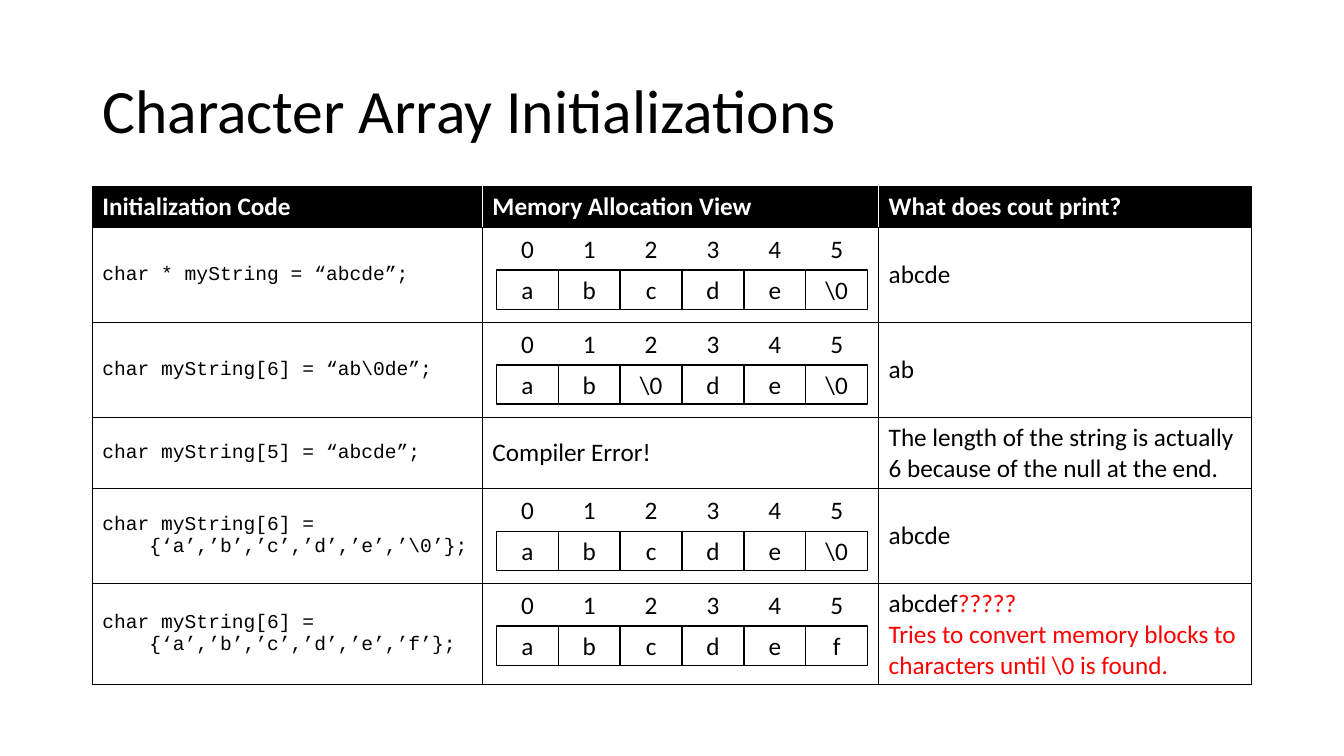
from dataclasses import dataclass
from itertools import accumulate

from lxml.etree import SubElement
from pptx import Presentation
from pptx.dml.color import RGBColor
from pptx.enum.shapes import MSO_SHAPE as Shape
from pptx.enum.text import MSO_ANCHOR as Anchor, MSO_AUTO_SIZE as AutoSize, PP_ALIGN as Align
from pptx.oxml import parse_xml
from pptx.oxml.ns import nsdecls, qn
from pptx.util import Inches, Pt


@dataclass(frozen=True)
class Theme:
    ink: RGBColor = RGBColor(0, 0, 0)
    paper: RGBColor = RGBColor(255, 255, 255)
    warning: RGBColor = RGBColor(255, 0, 0)
    body_font: str = "Calibri"
    code_font: str = "Courier New"
    title_size: int = 44
    body_size: int = 18
    code_size: int = 14
    line_width: float = 1
    header_line_width: float = 0.5


THEME = Theme()

TITLE = "Character Array Initializations"
HEADERS = ["Initialization Code", "Memory Allocation View", "What does cout print?"]
ROWS = [
    {"code": ["char * myString = “abcde”;"],
     "memory": ["a", "b", "c", "d", "e", "\\0"],
     "prints": [[("abcde", THEME.ink)]]},
    {"code": ["char myString[6] = “ab\\0de”;"],
     "memory": ["a", "b", "\\0", "d", "e", "\\0"],
     "prints": [[("ab", THEME.ink)]]},
    {"code": ["char myString[5] = “abcde”;"],
     "message": "Compiler Error!",
     "prints": [[("The length of the string is actually 6 because of the null at the end.",
                  THEME.ink)]]},
    {"code": ["char myString[6] =", "    {‘a’,’b’,’c’,’d’,’e’,’\\0’};"],
     "memory": ["a", "b", "c", "d", "e", "\\0"],
     "prints": [[("abcde", THEME.ink)]]},
    {"code": ["char myString[6] =", "    {‘a’,’b’,’c’,’d’,’e’,’f’};"],
     "memory": ["a", "b", "c", "d", "e", "f"],
     "prints": [[("abcdef", THEME.ink), ("?????", THEME.warning)],
                [("Tries to convert memory blocks to characters until \\0 is found.",
                  THEME.warning)]]},
]

SLIDE_WIDTH, SLIDE_HEIGHT = 13.33, 7.5
COLUMN_WIDTHS = [3.87, 3.93, 3.7]
TABLE_WIDTH = sum(COLUMN_WIDTHS)
LEFT = (SLIDE_WIDTH - TABLE_WIDTH) / 2
TITLE_TOP, TITLE_HEIGHT = 0.4, 1.45
HEADER_TOP = TITLE_TOP + TITLE_HEIGHT
HEADER_HEIGHT = 0.41
ROW_HEIGHTS = [0.94, 0.94, 0.71, 0.94, 1.0]
ROW_TOPS = list(accumulate(ROW_HEIGHTS, initial=HEADER_TOP + HEADER_HEIGHT))
STRIP_LEFT = LEFT + COLUMN_WIDTHS[0] + 0.14
STRIP_WIDTH = 3.68
INDEX_OFFSET, INDEX_HEIGHT = 0.01, 0.4
BLOCK_OFFSET, BLOCK_HEIGHT = 0.42, 0.39


def place(left, top, width, height):
    return [Inches(value) for value in (left, top, width, height)]


def style_font(font, size=THEME.body_size, name=THEME.body_font, color=THEME.ink, bold=False):
    font.size, font.name, font.bold = Pt(size), name, bold
    font.color.rgb = color


def write_lines(frame, lines, **style):
    frame.text = "\n".join(lines)
    for paragraph in frame.paragraphs:
        style_font(paragraph.font, **style)


def write_colored(frame, lines):
    for number, runs in enumerate(lines):
        paragraph = frame.add_paragraph() if number else frame.paragraphs[0]
        for text, color in runs:
            run = paragraph.add_run()
            run.text = text
            style_font(run.font, color=color)


def draw_borders(cell, sides, width):
    properties = cell._tc.get_or_add_tcPr()
    for side in sides:
        border = parse_xml(f'<a:ln{side} {nsdecls("a")} w="{Pt(width)}"/>')
        fill = SubElement(border, qn("a:solidFill"))
        SubElement(fill, qn("a:srgbClr")).set("val", str(THEME.ink))
        properties.append(border)


def add_row_table(slide, top, height):
    table = slide.shapes.add_table(
        1, len(COLUMN_WIDTHS), *place(LEFT, top, TABLE_WIDTH, height)).table
    table.horz_banding = False
    for column, width in zip(table.columns, COLUMN_WIDTHS):
        column.width = Inches(width)
    return table


def add_title(slide):
    title = slide.shapes.title
    title.left, title.top, title.width, title.height = place(
        LEFT, TITLE_TOP, TABLE_WIDTH, TITLE_HEIGHT)
    write_lines(title.text_frame, [TITLE], size=THEME.title_size)
    title.text_frame.vertical_anchor = Anchor.MIDDLE
    paragraph = title.text_frame.paragraphs[0]
    paragraph.alignment, paragraph.line_spacing = Align.LEFT, 0.9


def add_header(slide):
    table = add_row_table(slide, HEADER_TOP, HEADER_HEIGHT)
    for cell, header, sides in zip(table.rows[0].cells, HEADERS, ("LTB", "TB", "RTB")):
        draw_borders(cell, sides, THEME.header_line_width)
        cell.fill.solid()
        cell.fill.fore_color.rgb = THEME.ink
        write_lines(cell.text_frame, [header], color=THEME.paper, bold=True)


def add_example(slide, row, top, height):
    table = add_row_table(slide, top, height)
    table.first_row = False
    code, memory, prints = table.rows[0].cells
    for cell in (code, memory, prints):
        cell.vertical_anchor = Anchor.MIDDLE
        draw_borders(cell, "LRTB", THEME.line_width)
        cell.fill.background()
    write_lines(code.text_frame, row["code"], size=THEME.code_size, name=THEME.code_font)
    write_colored(prints.text_frame, row["prints"])
    if "memory" in row:
        add_memory_strip(slide, row["memory"], top)
    else:
        write_lines(memory.text_frame, [row["message"]])


def add_memory_strip(slide, characters, row_top):
    strip = slide.shapes.add_group_shape()
    width = STRIP_WIDTH / len(characters)
    for index, character in enumerate(characters):
        left = STRIP_LEFT + index * width
        block = strip.shapes.add_shape(
            Shape.RECTANGLE, *place(left, row_top + BLOCK_OFFSET, width, BLOCK_HEIGHT))
        block.shadow.inherit = False
        block.fill.solid()
        block.fill.fore_color.rgb = THEME.paper
        block.line.color.rgb = THEME.ink
        block.line.width = Pt(THEME.line_width)
        block.text_frame.vertical_anchor = Anchor.MIDDLE
        label = strip.shapes.add_textbox(
            *place(left, row_top + INDEX_OFFSET, width, INDEX_HEIGHT))
        label.text_frame.word_wrap = True
        label.text_frame.auto_size = AutoSize.SHAPE_TO_FIT_TEXT
        for shape, text in ((block, character), (label, str(index))):
            write_lines(shape.text_frame, [text])
            shape.text_frame.paragraphs[0].alignment = Align.CENTER


def main():
    presentation = Presentation()
    presentation.slide_width = Inches(SLIDE_WIDTH)
    presentation.slide_height = Inches(SLIDE_HEIGHT)
    slide = presentation.slides.add_slide(presentation.slide_layouts.get_by_name("Title Only"))
    add_title(slide)
    add_header(slide)
    for row, top, height in zip(ROWS, ROW_TOPS, ROW_HEIGHTS):
        add_example(slide, row, top, height)
    presentation.save("out.pptx")


if __name__ == "__main__":
    main()
